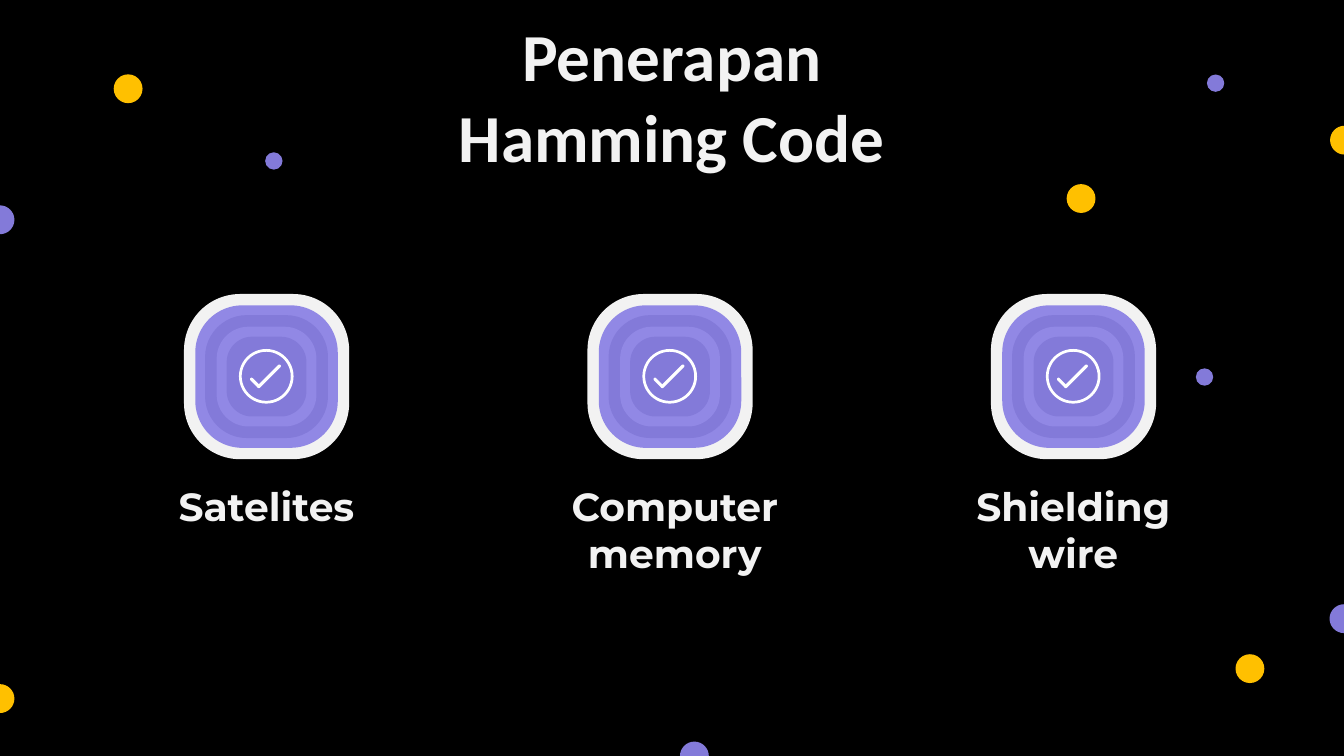
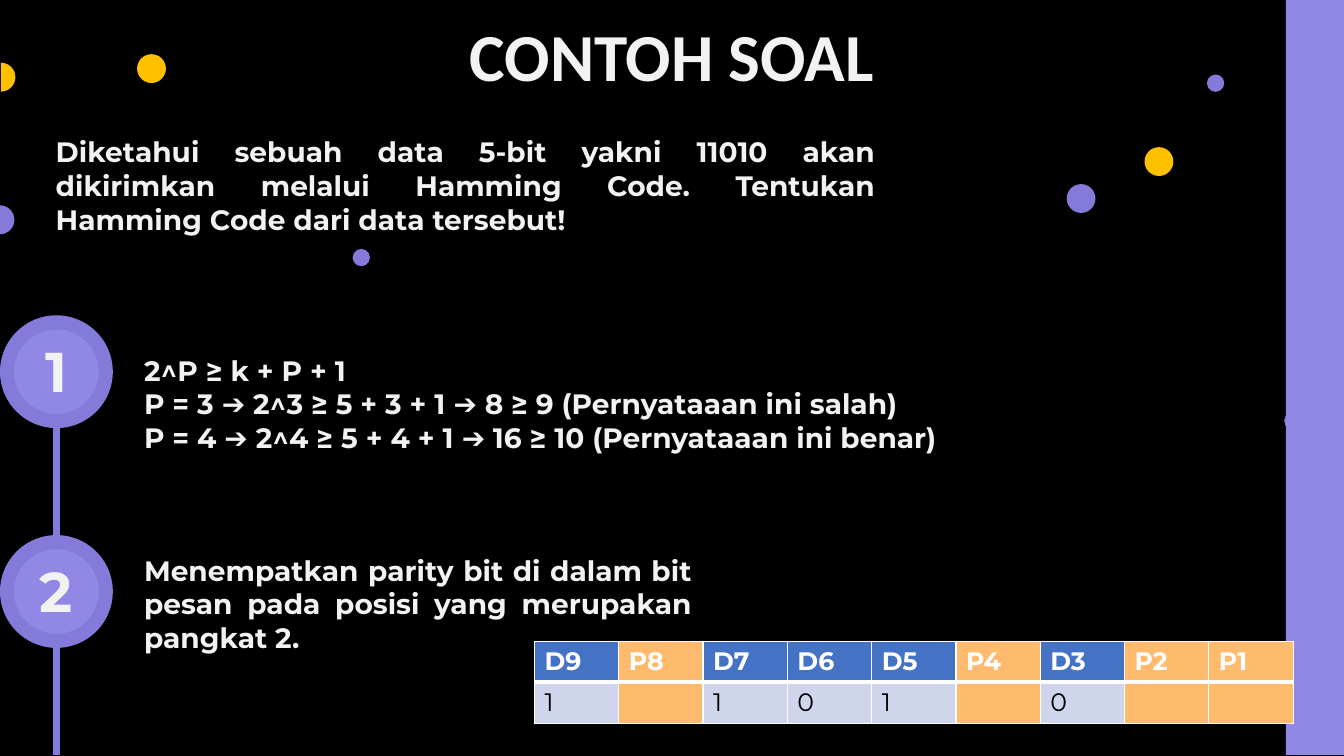
import pptx
import pptx.dml.color
import pptx.enum.shapes
import pptx.enum.text
import pptx.oxml
import pptx.oxml.ns
import pptx.util
from dataclasses import dataclass
from lxml import etree

Pt = pptx.util.Pt
qn = pptx.oxml.ns.qn
PRESET = pptx.enum.shapes.MSO_SHAPE
ALIGN = pptx.enum.text.PP_ALIGN


@dataclass(frozen=True)
class Theme:
    width: float = 960
    height: float = 540
    background: str = "000000"
    ink: str = "F2F2F2"
    white: str = "FFFFFF"
    purple: str = "837AD9"
    lilac: str = "9188E5"
    gold: str = "FFC000"
    data_head: str = "4472C4"
    data_cell: str = "CFD5EA"
    parity: str = "FEBB6E"
    title_font: str = "Calibri"
    body_font: str = "Montserrat"
    title_size: float = 48
    number_size: float = 40
    caption_size: float = 28
    body_size: float = 20
    table_size: float = 18
    small_dot: float = 12.4
    big_dot: float = 20.6


THEME = Theme()


def rgb(code):
    return pptx.dml.color.RGBColor.from_string(code)


def write(frame, text, size=THEME.body_size, font=THEME.body_font, color=THEME.ink,
          bold=True, align=ALIGN.LEFT):
    """Fill a text frame; each line of the text becomes a paragraph."""
    frame.word_wrap = True
    frame.auto_size = pptx.enum.text.MSO_AUTO_SIZE.NONE
    frame.vertical_anchor = pptx.enum.text.MSO_ANCHOR.TOP
    frame.margin_left = frame.margin_right = Pt(7.2)
    frame.margin_top = frame.margin_bottom = Pt(3.6)
    for index, line in enumerate(text.split("\n")):
        paragraph = frame.paragraphs[0] if index == 0 else frame.add_paragraph()
        paragraph.alignment = align
        run = paragraph.add_run()
        run.text = line
        run.font.name = font
        run.font.size = Pt(size)
        run.font.bold = bold
        run.font.color.rgb = rgb(color)


def add_text(slide, box, text, **style):
    write(slide.shapes.add_textbox(*map(Pt, box)).text_frame, text, **style)


def paint(shape, color):
    shape.shadow.inherit = False
    shape.fill.solid()
    shape.fill.fore_color.rgb = rgb(color)
    shape.line.fill.background()


def add_centred(shapes, preset, centre, size, color, round_by=None, turn=0):
    """Add a preset shape around a centre point."""
    (x, y), (width, height) = centre, size
    shape = shapes.add_shape(preset, Pt(x - width / 2), Pt(y - height / 2),
                             Pt(width), Pt(height))
    if round_by is not None:
        shape.adjustments[0] = round_by
    shape.rotation = turn
    paint(shape, color)


def add_half_dot(slide, x, y, radius, color, inward):
    """Add a half disc whose flat side is centred on x, y."""
    ux, uy = inward

    def point(along, across):
        return (Pt(x + radius * (along * ux - across * uy)),
                Pt(y + radius * (along * uy + across * ux)))

    builder = slide.shapes.build_freeform(*point(0, 1))
    builder.add_line_segments([point(0, -1), point(1, 0), point(0, 1)], close=True)
    half = builder.convert_to_shape()
    bend = 0.55
    handles = ((point(bend, -1), point(1, -bend)), (point(1, bend), point(bend, 1)))
    sides = list(half._element.iter(qn("a:lnTo")))[1:]
    for side, controls in zip(sides, handles):
        curve = etree.Element(qn("a:cubicBezTo"))
        for left, top in controls:
            etree.SubElement(curve, qn("a:pt"), x=str(left - half.left),
                             y=str(top - half.top))
        curve.append(side[0])
        side.getparent().replace(side, curve)
    paint(half, color)


def add_dots(slide, dots):
    """Add dots; one that is centred on an edge of the slide becomes a half."""
    for x, y, diameter, color in dots:
        inward = ((1, 0) if x < 1 else (-1, 0) if x >= THEME.width
                  else (0, -1) if y >= THEME.height else None)
        if inward:
            add_half_dot(slide, x, y, diameter / 2, color, inward)
        else:
            add_centred(slide.shapes, PRESET.OVAL, (x, y), (diameter, diameter), color)


def add_titled_slide(deck, title, box):
    slide = deck.slides.add_slide(deck.slide_layouts[5])
    heading = slide.shapes.title
    heading.left, heading.top, heading.width, heading.height = map(Pt, box)
    write(heading.text_frame, title, size=THEME.title_size, font=THEME.title_font,
          align=ALIGN.CENTER)
    return slide


def add_check_mark(slide, x, y):
    mark = slide.shapes.add_group_shape().shapes
    add_centred(mark, PRESET.DONUT, (x, y), (39, 39), THEME.white, round_by=0.05)
    for dx, dy, length, turn in ((-8, 4.6, 9.4, 135), (2, 0, 23, 225)):
        add_centred(mark, PRESET.ROUNDED_RECTANGLE, (x + dx, y + dy), (2.2, length),
                    THEME.white, round_by=0.5, turn=turn)


def add_application(slide, left, top, caption, caption_size):
    """Add a badge of nested rounded squares with its caption below."""
    badge = 118
    x, y = left + badge / 2, top + badge / 2
    rings = ((badge, 0.34, THEME.ink), (101.8, 0.33, THEME.lilac),
             (87.8, 0.34, THEME.purple), (71.3, 0.32, THEME.lilac),
             (57, 0.32, THEME.purple))
    for side, round_by, color in rings:
        add_centred(slide.shapes, PRESET.ROUNDED_RECTANGLE, (x, y), (side, side),
                    color, round_by=round_by)
    add_check_mark(slide, x - 0.2, y - 0.2)
    add_text(slide, (left - 22.6, top + 131, *caption_size), caption,
             size=THEME.caption_size, align=ALIGN.CENTER)


def build_applications(deck):
    slide = add_titled_slide(deck, "Penerapan Hamming Code", (289.4, 6.8, 381, 124))
    small, big = THEME.small_dot, THEME.big_dot
    add_dots(slide, (
        (195.6, 115, small, THEME.purple), (91.5, 63.4, big, THEME.gold),
        (0, 499, big, THEME.gold), (0, 157, big, THEME.purple),
        (860.4, 269.3, small, THEME.purple), (868.3, 59.4, small, THEME.purple),
        (892.8, 477.6, big, THEME.gold), (772.2, 141.8, big, THEME.gold),
        (960, 441.9, big, THEME.purple), (960.4, 100.1, big, THEME.gold),
        (496, 540, big, THEME.purple)))
    applications = (("Satelites", (163, 41)), ("Computer memory", (170, 75)),
                    ("Shielding wire", (163, 75)))
    for index, (caption, caption_size) in enumerate(applications):
        add_application(slide, 131.4 + 288.2 * index, 210, caption, caption_size)


def add_step(slide, top, pitch, number, text, text_box, align):
    """Add a numbered disc, the line down to the next step and the step's text.

    The text box is given as offset from top, width and height.
    """
    disc = 80.6
    centre = (disc / 2, top + disc / 2)
    add_centred(slide.shapes, PRESET.OVAL, centre, (disc, disc), THEME.purple)
    link = slide.shapes.add_connector(
        pptx.enum.shapes.MSO_CONNECTOR.STRAIGHT, Pt(centre[0]), Pt(top + 75.6),
        Pt(centre[0]), Pt(top + pitch))
    link.line.color.rgb = rgb(THEME.purple)
    link.line.width = Pt(4.5)
    etree.SubElement(link._element.spPr, qn("a:effectLst"))
    add_centred(slide.shapes, PRESET.OVAL, centre, (60.5, 60.5), THEME.lilac)
    add_text(slide, (18, top + 11.8, 44.6, 55.4), number, size=THEME.number_size,
             align=ALIGN.CENTER)
    offset, width, height = text_box
    add_text(slide, (95.8, top + offset, width, height), text, align=align)


def set_borders(cell, **widths):
    """Draw white borders; widths in points are keyed by L, R, T and B."""
    properties = cell._tc.get_or_add_tcPr()
    for index, (side, width) in enumerate(widths.items()):
        border = pptx.oxml.parse_xml(
            f'<a:ln{side} {pptx.oxml.ns.nsdecls("a")} w="{Pt(width)}"><a:solidFill>'
            f'<a:srgbClr val="{THEME.white}"/></a:solidFill></a:ln{side}>')
        properties.insert(index, border)


def add_bit_table(slide, box, bits):
    """Add a row of bit names above a row of their values."""
    table = slide.shapes.add_table(2, len(bits), *map(Pt, box)).table
    table.first_row = table.horz_banding = False
    for column, (name, value) in enumerate(bits):
        is_parity = name.startswith("P")
        rows = ((name, THEME.data_head, THEME.white, True, {"T": 1, "B": 3}),
                (value, THEME.data_cell, THEME.background, False, {"T": 3, "B": 1}))
        for row, (text, fill, color, bold, edges) in enumerate(rows):
            cell = table.cell(row, column)
            cell.fill.solid()
            cell.fill.fore_color.rgb = rgb(THEME.parity if is_parity else fill)
            set_borders(cell, L=1, R=1, **edges)
            if text:
                write(cell.text_frame, text, size=THEME.table_size, color=color,
                      bold=bold)


def build_example(deck):
    slide = add_titled_slide(deck, "CONTOH SOAL", (267, 6.8, 426, 65.5))
    pitch = 157
    steps = (
        ("1", "2^P ≥ k + P + 1\n"
              "P = 3 ➔ 2^3 ≥ 5 + 3 + 1 ➔ 8 ≥ 9 (Pernyataaan ini salah)\n"
              "P = 4 ➔ 2^4 ≥ 5 + 4 + 1 ➔ 16 ≥ 10 (Pernyataaan ini benar)",
         (23.5, 598, 80), ALIGN.LEFT),
        ("2", "Menempatkan parity bit di dalam bit pesan pada posisi yang merupakan "
              "pangkat 2.", (9.5, 405.4, 80), ALIGN.JUSTIFY))
    for index, step in enumerate(steps):
        add_step(slide, 225.2 + pitch * index, pitch, *step)
    small, big = THEME.small_dot, THEME.big_dot
    add_dots(slide, (
        (923.5, 300.6, small, THEME.purple), (868.3, 59.4, small, THEME.purple),
        (827.8, 115.4, big, THEME.gold), (772.2, 141.8, big, THEME.purple),
        (258.1, 184, small, THEME.purple), (108.2, 49, big, THEME.gold),
        (0.7, 55.1, big, THEME.gold), (0, 157, big, THEME.purple)))
    add_text(slide, (32.7, 92.9, 599.5, 80),
             "Diketahui sebuah data 5-bit yakni 11010 akan dikirimkan melalui Hamming "
             "Code. Tentukan Hamming Code dari data tersebut!", align=ALIGN.JUSTIFY)
    band = slide.shapes.add_shape(PRESET.RECTANGLE, Pt(918.5), 0, Pt(177), Pt(539.3))
    paint(band, THEME.lilac)
    add_bit_table(slide, (381.8, 458.2, 542, 57.6), (
        ("D9", "1"), ("P8", ""), ("D7", "1"), ("D6", "0"), ("D5", "1"),
        ("P4", ""), ("D3", "0"), ("P2", ""), ("P1", "")))


def main():
    deck = pptx.Presentation()
    deck.slide_width, deck.slide_height = Pt(THEME.width), Pt(THEME.height)
    backdrop = deck.slide_master.background.fill
    backdrop.solid()
    backdrop.fore_color.rgb = rgb(THEME.background)
    build_applications(deck)
    build_example(deck)
    deck.save("out.pptx")


if __name__ == "__main__":
    main()
